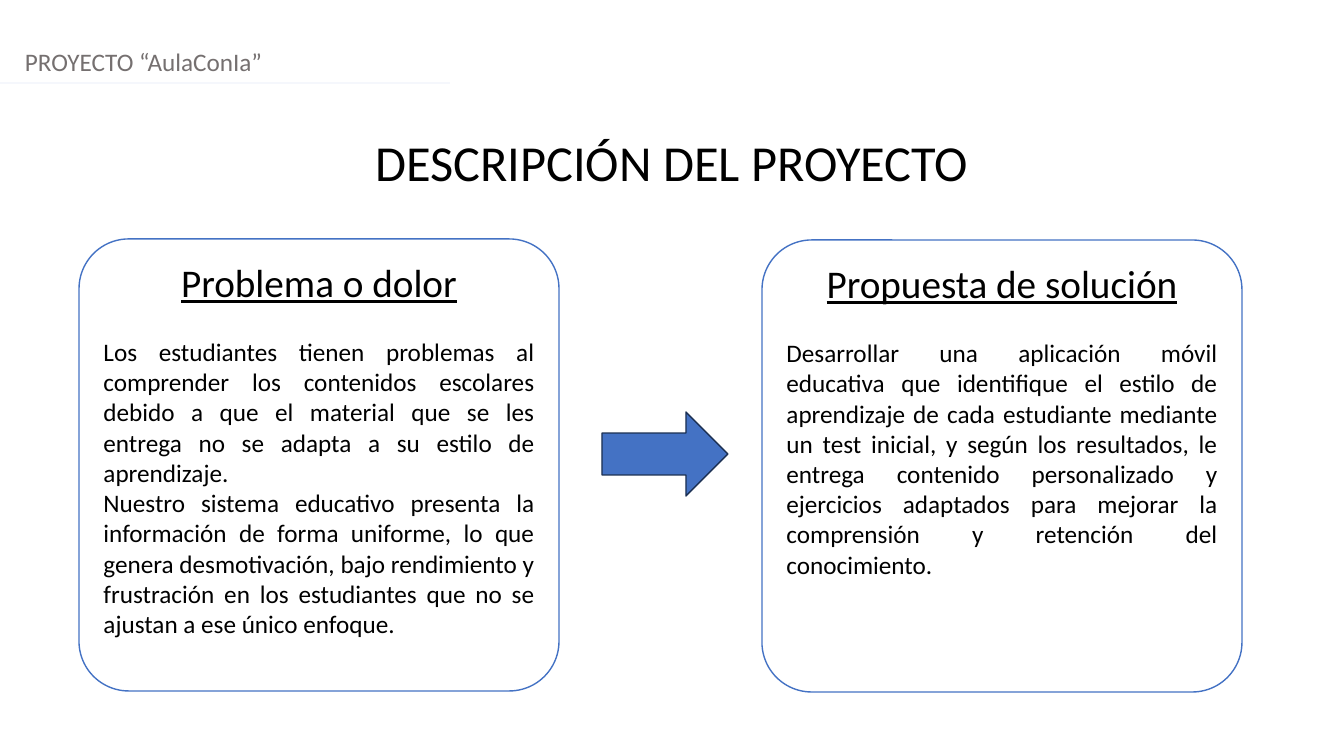
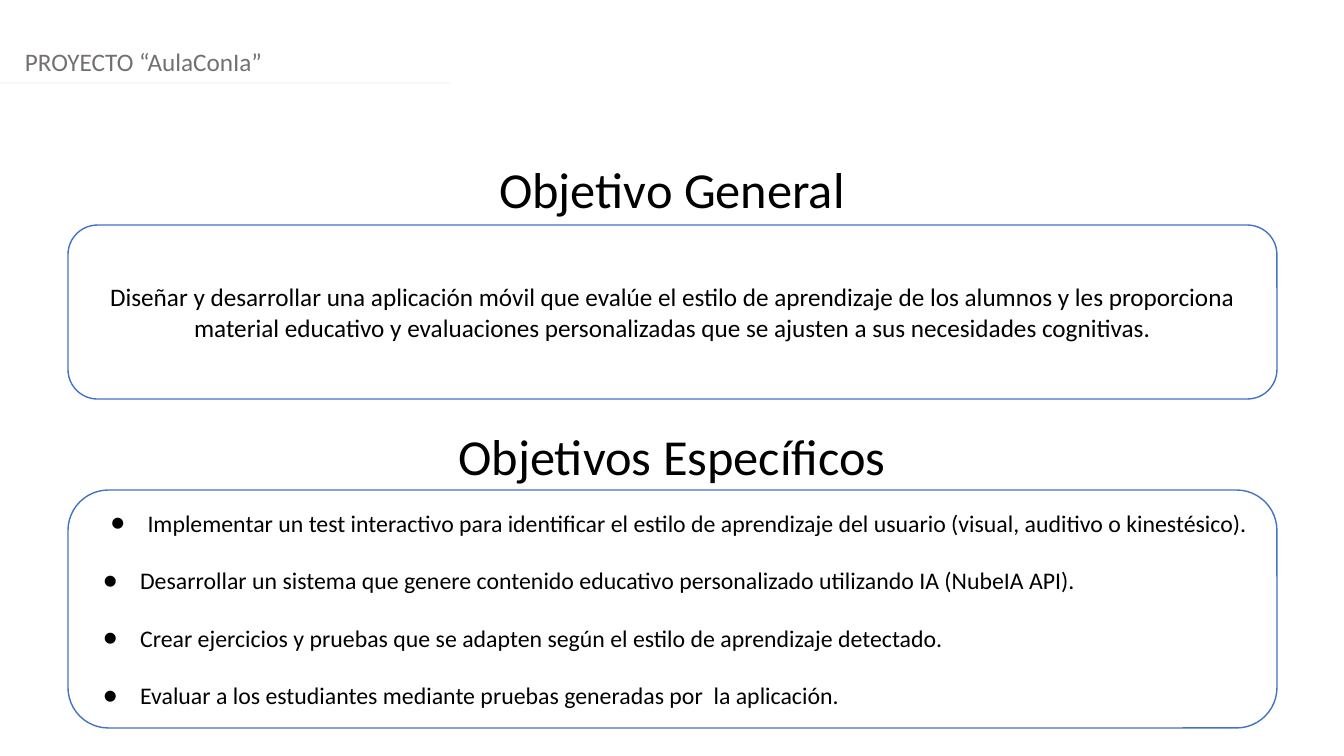
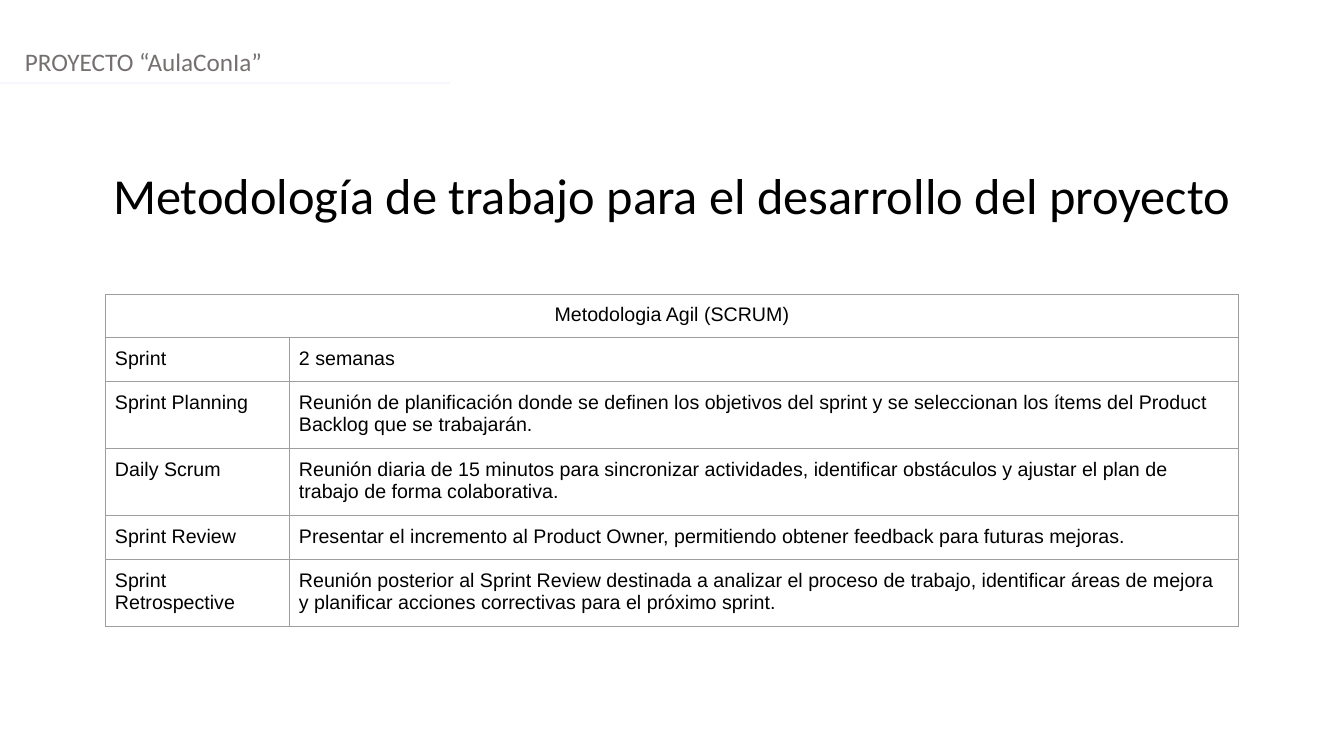
from lxml import etree
from pptx import Presentation
from pptx import util as u
from pptx.dml.color import RGBColor
from pptx.enum import shapes, text
from pptx.oxml import ns

# Shared look
SCALE = 12192000 / 1344  # EMU per px
FONT, TABLE_FONT = "Calibri", "Arial"
BLACK, GREY, WHITE = "000000", "757070", "FFFFFF"
BLUE, DARK_BLUE, PALE, BORDER = "4472C4", "1C3052", "F5F7FC", "9E9E9E"
PROJECT = "PROYECTO “AulaConIa”"
TITLE_ONLY, TITLE_AND_BODY = 5, 1
CENTER, JUSTIFY, LEFT = (text.PP_ALIGN.CENTER, text.PP_ALIGN.JUSTIFY,
                         text.PP_ALIGN.LEFT)

# Content
PROBLEM = [
    "Los estudiantes tienen problemas al comprender los contenidos escolares debido a que "
    "el material que se les entrega no se adapta a su estilo de aprendizaje.",
    "Nuestro sistema educativo presenta la información de forma uniforme, lo que genera "
    "desmotivación, bajo rendimiento y frustración en los estudiantes que no se ajustan a "
    "ese único enfoque.",
]
SOLUTION = [
    "Desarrollar una aplicación móvil educativa que identifique el estilo de aprendizaje de "
    "cada estudiante mediante un test inicial, y según los resultados, le entrega contenido "
    "personalizado y ejercicios adaptados para mejorar la comprensión y retención del "
    "conocimiento.",
]
GENERAL_GOAL = (
    "Diseñar y desarrollar una aplicación móvil que evalúe el estilo de aprendizaje de los "
    "alumnos y les proporciona material educativo y evaluaciones personalizadas que se "
    "ajusten a sus necesidades cognitivas.")
SPECIFIC_GOALS = [
    "Implementar un test interactivo para identificar el estilo de aprendizaje del usuario "
    "(visual, auditivo o kinestésico).",
    "Desarrollar un sistema que genere contenido educativo personalizado utilizando IA "
    "(NubeIA API).",
    "Crear ejercicios y pruebas que se adapten según el estilo de aprendizaje detectado.",
    "Evaluar a los estudiantes mediante pruebas generadas por  la aplicación.",
]
SCRUM_TITLE = "Metodologia Agil (SCRUM)"
SCRUM_ROWS = [
    ("Sprint", "2 semanas"),
    ("Sprint Planning",
     "Reunión de planificación donde se definen los objetivos del sprint y se seleccionan "
     "los ítems del Product Backlog que se trabajarán."),
    ("Daily Scrum",
     "Reunión diaria de 15 minutos para sincronizar actividades, identificar obstáculos y "
     "ajustar el plan de trabajo de forma colaborativa."),
    ("Sprint Review",
     "Presentar el incremento al Product Owner, permitiendo obtener feedback para futuras "
     "mejoras."),
    ("Sprint Retrospective",
     "Reunión posterior al Sprint Review destinada a analizar el proceso de trabajo, "
     "identificar áreas de mejora y planificar acciones correctivas para el próximo sprint."),
]


def px(n):
    return u.Emu(round(n * SCALE))


def box(*lengths):
    return [px(n) for n in lengths]


def color(value):
    return RGBColor.from_string(value)


# Text
def write(p, words, size, align=LEFT, ink=BLACK, font=FONT, underline=False):
    p.text = words
    p.alignment = align
    p.space_before = u.Pt(0)
    for r in p.runs:
        r.font.name, r.font.size = font, u.Pt(size)
        r.font.color.rgb = color(ink)
        if underline:
            r.font.underline = True


def next_paragraph(tf, first):
    return tf.paragraphs[0] if first else tf.add_paragraph()


def add_label(slide, words, at, size, align=LEFT, ink=BLACK):
    tf = slide.shapes.add_textbox(*box(*at)).text_frame
    tf.word_wrap = True
    write(tf.paragraphs[0], words, size, align, ink)


def place(sp, at):
    sp.left, sp.top, sp.width, sp.height = box(*at)
    sp.text_frame.auto_size = text.MSO_AUTO_SIZE.NONE


def set_bullet(p, margin, hanging):
    pPr = p._p.get_or_add_pPr()
    pPr.set("marL", str(px(margin)))
    pPr.set("indent", str(-px(hanging)))
    clr = etree.SubElement(pPr, ns.qn("a:buClr"))
    etree.SubElement(clr, ns.qn("a:srgbClr"), val=BLACK)
    etree.SubElement(pPr, ns.qn("a:buFont"), typeface=FONT)
    etree.SubElement(pPr, ns.qn("a:buChar"), char="●")


def fill_list(slide, items, at):
    body = slide.placeholders[1]
    slide.shapes._spTree.append(body._element)  # in front of its card
    place(body, at)
    tf = body.text_frame
    tf.vertical_anchor = text.MSO_ANCHOR.MIDDLE
    for i, item in enumerate(items):
        p = next_paragraph(tf, i == 0)
        write(p, item, 17, LEFT if i else CENTER)
        if i:
            p.space_before = u.Pt(20.75)
        set_bullet(p, 50, 37)


# Shapes
def add_shape(slide, kind, at, fill, line):
    sp = slide.shapes.add_shape(kind, *box(*at))
    sp.shadow.inherit = False
    sp.fill.solid()
    sp.fill.fore_color.rgb = color(fill)
    sp.line.color.rgb = color(line)
    sp.line.width = u.Pt(1)
    return sp


def add_card(slide, at, rounding):
    sp = add_shape(slide, shapes.MSO_SHAPE.ROUNDED_RECTANGLE, at, WHITE, BLUE)
    sp.adjustments[0] = rounding
    sp.text_frame.word_wrap = True
    return sp.text_frame


def add_topic_card(slide, at, heading, paragraphs):
    tf = add_card(slide, at, 0.11)
    tf.vertical_anchor = text.MSO_ANCHOR.TOP
    write(tf.paragraphs[0], heading, 28, CENTER, underline=True)
    tf.paragraphs[0].space_after = u.Pt(22)
    for words in paragraphs:
        write(tf.add_paragraph(), words, 18, JUSTIFY)


def add_rule(slide, y, length):
    line = slide.shapes.add_connector(shapes.MSO_CONNECTOR.STRAIGHT, *box(0, y, length, y))
    line.line.color.rgb = color(PALE)
    line.line.width = u.Pt(1.25)
    etree.SubElement(line._element.spPr, ns.qn("a:effectLst"))


# Table
def set_borders(cell):
    tcPr = cell._tc.get_or_add_tcPr()
    for i, side in enumerate(("lnL", "lnR", "lnT", "lnB")):
        ln = etree.Element(ns.qn("a:" + side), w=str(u.Pt(0.75)))
        fill = etree.SubElement(ln, ns.qn("a:solidFill"))
        etree.SubElement(fill, ns.qn("a:srgbClr"), val=BORDER)
        tcPr.insert(i, ln)


def add_scrum_table(slide, left, top, widths, heights):
    frame = slide.shapes.add_table(len(heights), len(widths),
                                   *box(left, top, sum(widths), sum(heights)))
    table = frame.table
    table.first_row = table.horz_banding = False
    for column, width in zip(table.columns, widths):
        column.width = px(width)
    for row, height in zip(table.rows, heights):
        row.height = px(height)
    for cell in table.iter_cells():
        cell.fill.background()
        set_borders(cell)
        cell.margin_left = cell.margin_right = px(10)
        cell.margin_top = cell.margin_bottom = px(10)
    table.cell(0, 0).merge(table.cell(0, 1))
    write(table.cell(0, 0).text_frame.paragraphs[0], SCRUM_TITLE, 14, CENTER, font=TABLE_FONT)
    for i, row in enumerate(SCRUM_ROWS, 1):
        for j, words in enumerate(row):
            write(table.cell(i, j).text_frame.paragraphs[0], words, 14, font=TABLE_FONT)


# Slides
def add_slide(prs, layout, title, title_top):
    slide = prs.slides.add_slide(prs.slide_layouts[layout])
    place(slide.shapes.title, (0, title_top, 1344, 72))
    write(slide.shapes.title.text_frame.paragraphs[0], title, 36, CENTER)
    add_label(slide, PROJECT, (15, 41, 1329, 41), 18, ink=GREY)
    add_rule(slide, 83, 450)
    return slide


def add_description(prs):
    slide = add_slide(prs, TITLE_ONLY, "DESCRIPCIÓN DEL PROYECTO", 125)
    add_topic_card(slide, (79, 239, 480, 452), "Problema o dolor", PROBLEM)
    add_topic_card(slide, (762, 240, 480, 452), "Propuesta de solución", SOLUTION)
    add_shape(slide, shapes.MSO_SHAPE.RIGHT_ARROW, (602, 412, 126, 84), BLUE, DARK_BLUE)


def add_goals(prs):
    slide = add_slide(prs, TITLE_AND_BODY, "Objetivo General", 152)
    add_label(slide, "Objetivos Específicos", (0, 420, 1344, 72), 36, CENTER)
    tf = add_card(slide, (68, 225, 1209, 174), 0.17)
    tf.vertical_anchor = text.MSO_ANCHOR.MIDDLE
    write(tf.paragraphs[0], GENERAL_GOAL, 18, CENTER)
    add_card(slide, (68, 490, 1209, 238), 0.17)
    fill_list(slide, SPECIFIC_GOALS, (80, 502, 1185, 214))


def add_method(prs):
    slide = add_slide(prs, TITLE_ONLY,
                      "Metodología de trabajo para el desarrollo del proyecto", 158)
    add_scrum_table(slide, 105, 294, (184, 950), (43, 44, 67, 67, 44, 67))


def main():
    prs = Presentation()
    prs.slide_width, prs.slide_height = box(1344, 756)
    add_description(prs)
    add_goals(prs)
    add_method(prs)
    prs.save("out.pptx")


if __name__ == "__main__":
    main()
